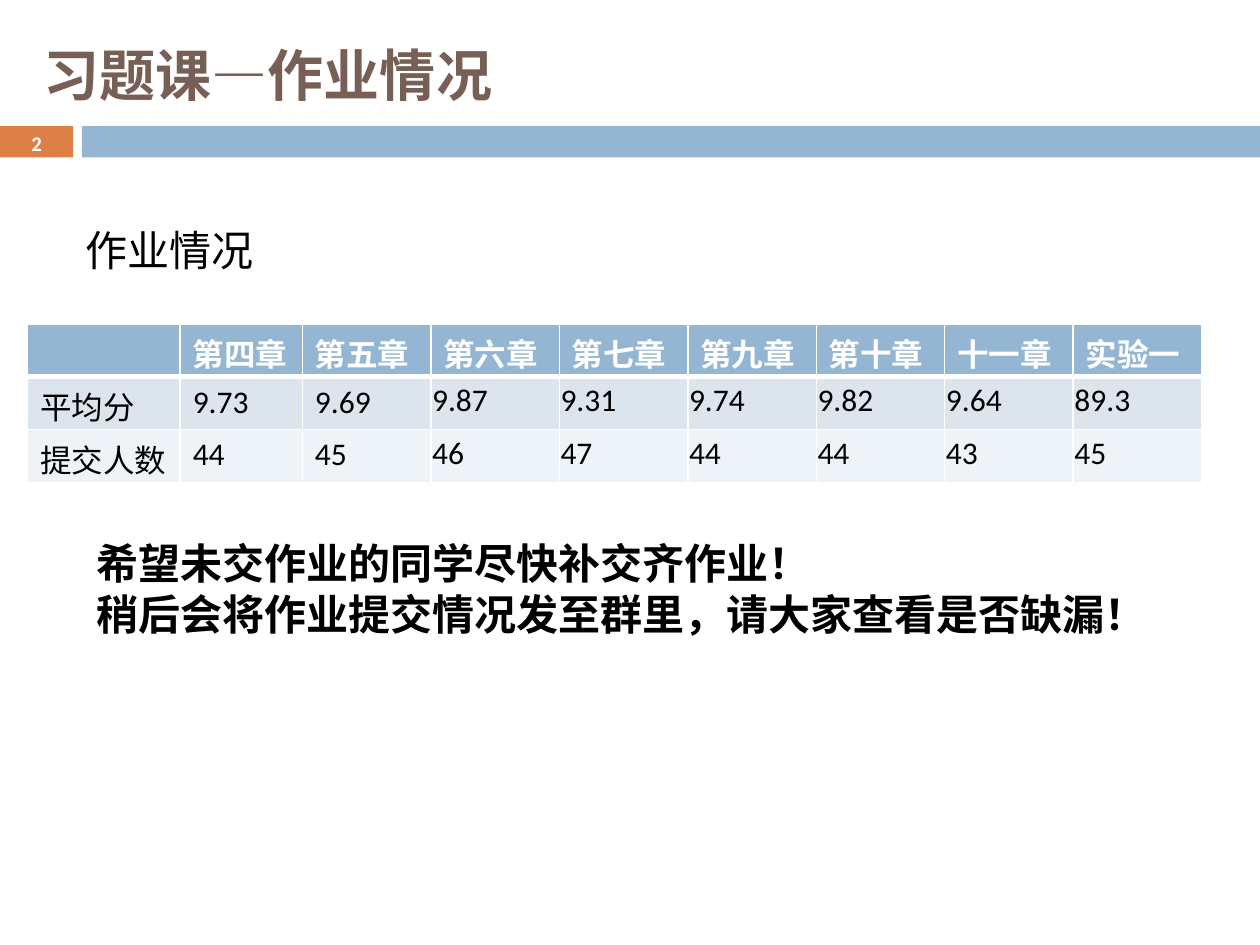
from lxml import etree
from pptx import Presentation
from pptx.dml.color import RGBColor
from pptx.enum.shapes import MSO_SHAPE
from pptx.enum.text import MSO_ANCHOR, PP_ALIGN
from pptx.oxml.ns import qn
from pptx.util import Inches, Pt

RECTANGLE = MSO_SHAPE.RECTANGLE
TOP, MIDDLE = MSO_ANCHOR.TOP, MSO_ANCHOR.MIDDLE
LEFT, CENTER = PP_ALIGN.LEFT, PP_ALIGN.CENTER

ORANGE = RGBColor(0xDD, 0x80, 0x47)
BLUE = RGBColor(0x94, 0xB6, 0xD2)
BROWN = RGBColor(0x77, 0x5F, 0x55)
WHITE = RGBColor(0xFF, 0xFF, 0xFF)
BLACK = RGBColor(0, 0, 0)
ROW_FILLS = [BLUE, RGBColor(0xDC, 0xE5, 0xEE), RGBColor(0xEE, 0xF3, 0xF7)]

BODY_FONT = "Calibri"
TITLE_FONT = "Vollkorn"

HOMEWORK_ROWS = [
    ["", "第四章", "第五章", "第六章", "第七章", "第九章", "第十章", "十一章", "实验一"],
    ["平均分", "9.73", "9.69", "9.87", "9.31", "9.74", "9.82", "9.64", "89.3"],
    ["提交人数", "44", "45", "46", "47", "44", "44", "43", "45"],
]
COLUMN_WIDTHS = [1.21, 0.97] + [1.02] * 7
ROW_HEIGHT = 0.42
FIRST_TIGHT_COLUMN = 3


def set_font(paragraph, size, color, bold=False, name=BODY_FONT):
    font = paragraph.font
    font.name, font.size, font.bold = name, Pt(size), bold
    font.color.rgb = color


def add_bar(slide, left, width, color):
    bar = slide.shapes.add_shape(
        RECTANGLE, Inches(left), Inches(1), Inches(width), Inches(0.25))
    bar.shadow.inherit = False
    bar.fill.solid()
    bar.fill.fore_color.rgb = color
    bar.line.fill.background()


def add_text(slide, box, lines, size, color, bold=False, name=BODY_FONT,
             anchor=TOP, alignment=LEFT):
    """Add a text box at box (left, top, width, height), a paragraph per line."""
    frame = slide.shapes.add_textbox(*map(Inches, box)).text_frame
    frame.word_wrap = True
    frame.vertical_anchor = anchor
    frame.text = "\n".join(lines)
    for paragraph in frame.paragraphs:
        paragraph.alignment = alignment
        set_font(paragraph, size, color, bold, name)


def set_borders(cell, widths):
    """Draw white borders; widths maps the sides L, R, T, B to points."""
    properties = cell._tc.get_or_add_tcPr()
    for side, width in widths.items():
        line = etree.SubElement(properties, qn(f"a:ln{side}"), w=str(Pt(width)))
        fill = etree.SubElement(line, qn("a:solidFill"))
        etree.SubElement(fill, qn("a:srgbClr"), val=str(WHITE))


def style_cell(cell, row, column):
    header = row == 0
    set_borders(cell, {"L": 1, "R": 1, "T": 3 if row == 1 else 1,
                       "B": 3 if header else 1})
    cell.fill.solid()
    cell.fill.fore_color.rgb = ROW_FILLS[row]
    if not header and column >= FIRST_TIGHT_COLUMN:
        cell.vertical_anchor = MIDDLE
        cell.margin_left = cell.margin_right = cell.margin_top = Inches(0.01)
    set_font(cell.text_frame.paragraphs[0], 18, WHITE if header else BLACK, header)


def add_homework_table(slide):
    table = slide.shapes.add_table(
        len(HOMEWORK_ROWS), len(COLUMN_WIDTHS), Inches(0.22), Inches(2.57),
        Inches(sum(COLUMN_WIDTHS)), Inches(ROW_HEIGHT * len(HOMEWORK_ROWS))).table
    for column, width in zip(table.columns, COLUMN_WIDTHS):
        column.width = Inches(width)
    for row, values in enumerate(HOMEWORK_ROWS):
        table.rows[row].height = Inches(ROW_HEIGHT)
        for column, value in enumerate(values):
            cell = table.cell(row, column)
            cell.text = value
            style_cell(cell, row, column)


def main():
    presentation = Presentation()
    presentation.slide_width, presentation.slide_height = Inches(10), Inches(7.5)
    slide = presentation.slides.add_slide(presentation.slide_layouts[6])

    add_bar(slide, 0, 0.58, ORANGE)
    add_bar(slide, 0.65, 9.35, BLUE)
    add_text(slide, (0.25, 0.25, 6.92, 0.67), ["习题课—作业情况"], 32, BROWN,
             bold=True, name=TITLE_FONT, anchor=MIDDLE)
    add_text(slide, (0, 1, 0.58, 0.27), ["2"], 11.9, WHITE, bold=True,
             anchor=MIDDLE, alignment=CENTER)
    add_text(slide, (0.58, 1.73, 6.92, 0.5), ["作业情况"], 24, BLACK)
    add_homework_table(slide)
    add_text(slide, (0.67, 4.22, 8.33, 1.56),
             ["希望未交作业的同学尽快补交齐作业！",
              "稍后会将作业提交情况发至群里，请大家查看是否缺漏！"],
             24, BLACK, bold=True)
    presentation.save("out.pptx")


if __name__ == "__main__":
    main()
